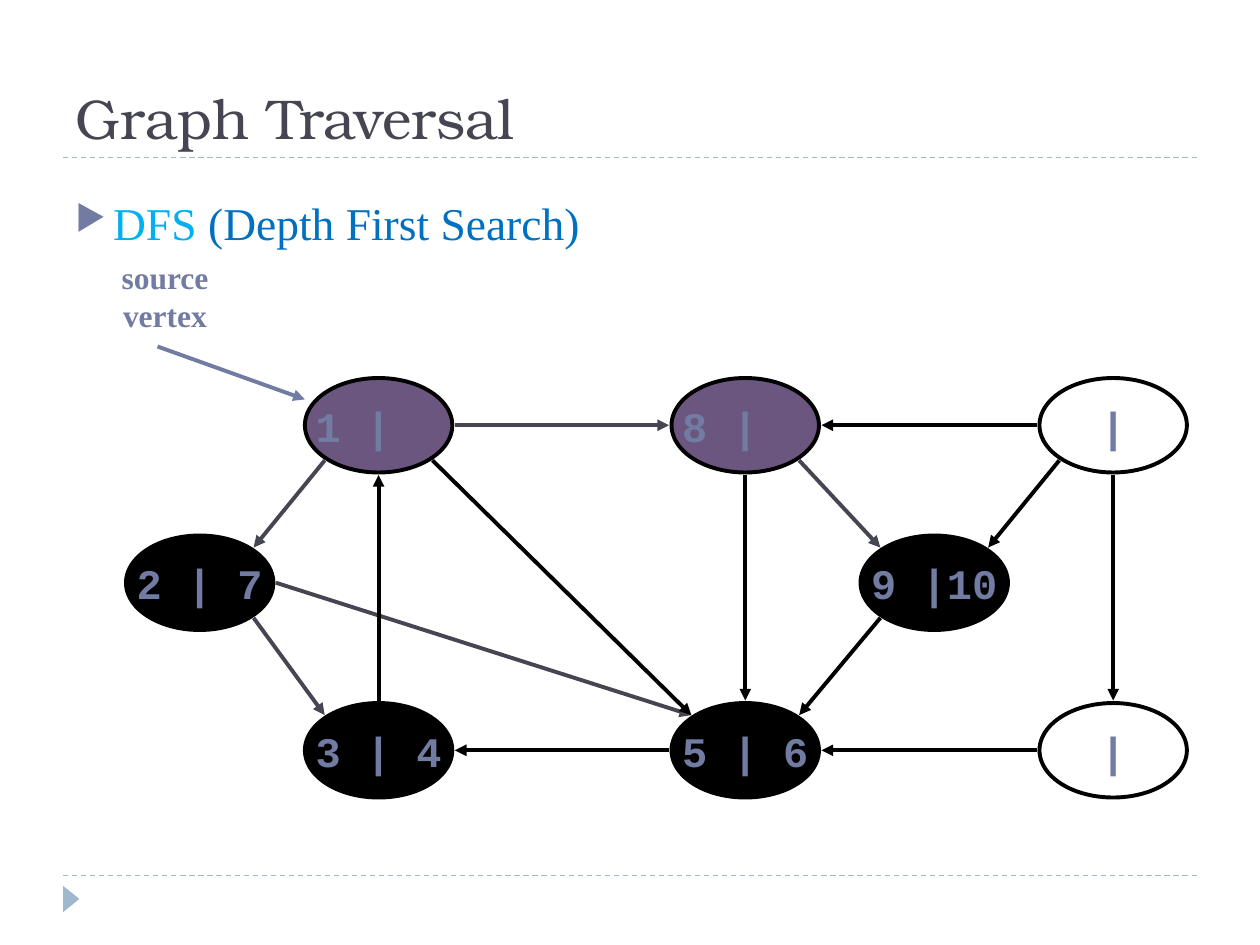
import math

import pptx
import pptx.dml.color
import pptx.enum.dml
import pptx.enum.shapes
import pptx.enum.text
import pptx.oxml
import pptx.oxml.ns
import pptx.util

Inches = pptx.util.Inches
Pt = pptx.util.Pt
ALIGN = pptx.enum.text.PP_ALIGN
ANCHOR = pptx.enum.text.MSO_ANCHOR
SHAPES = pptx.enum.shapes.MSO_SHAPE

BLACK, DARK, ACCENT, PALE, VISITING = "000000", "464653", "727CA3", "9FB8CD", "6B5680"
SERIF = "Times New Roman"
NODE_WIDTH, NODE_HEIGHT, NODE_GAP = 1.17, 0.75, 0.02

# name: (left, top, discovery time, finish time, fill)
NODES = {
    "source": (2.42, 3, 1, "", VISITING),
    "top": (5.33, 3, 8, "", VISITING),
    "top right": (8.25, 3, "", "", None),
    "bottom right": (8.25, 5.58, "", "", None),
    "bottom": (5.33, 5.58, 5, 6, BLACK),
    "bottom left": (2.42, 5.58, 3, 4, BLACK),
    "left": (1, 4.25, 2, 7, BLACK),
    "right": (6.83, 4.25, 9, 10, BLACK),
}

# Side of a node: angle in degrees, clockwise from the right
SIDES = {"E": 0, "SE": 45, "S": 90, "SW": 135, "W": 180, "NW": 225, "N": 270, "NE": 315}

EDGES = [
    ("source", "SW", "left", "NE", DARK),
    ("left", "SE", "bottom left", "NW", DARK),
    ("left", "E", "bottom", "NW", DARK),
    ("bottom", "W", "bottom left", "E", BLACK),
    ("bottom left", "N", "source", "S", BLACK),
    ("source", "SE", "bottom", "NW", BLACK),
    ("top", "S", "bottom", "N", BLACK),
    ("source", "E", "top", "W", DARK),
    ("top right", "W", "top", "E", BLACK),
    ("top", "SE", "right", "NW", DARK),
    ("top right", "SW", "right", "NE", BLACK),
    ("top right", "S", "bottom right", "N", BLACK),
    ("bottom right", "W", "bottom", "E", BLACK),
    ("right", "SW", "bottom", "NE", BLACK),
]


def color(value):
    return pptx.dml.color.RGBColor.from_string(value)


def write(paragraph, text, *, size, font=SERIF, fill=ACCENT, bold=False, align=None):
    """Append a formatted run to the paragraph."""
    run = paragraph.add_run()
    run.text = text
    run.font.size = Pt(size)
    run.font.name = font
    run.font.bold = bold
    run.font.color.rgb = color(fill)
    if align is not None:
        paragraph.alignment = align


def add_xml(parent, tag, **attributes):
    child = pptx.oxml.ns.qn(tag)
    element = parent.makeelement(child, attributes)
    parent.append(element)
    return element


def node_side(name, side):
    """Point just outside the outline of a node."""
    left, top = NODES[name][:2]
    angle = math.radians(SIDES[side])
    x = left + NODE_WIDTH / 2 + (NODE_WIDTH / 2 + NODE_GAP) * math.cos(angle)
    y = top + NODE_HEIGHT / 2 + (NODE_HEIGHT / 2 + NODE_GAP) * math.sin(angle)
    return x, y


class SlideBuilder:
    def __init__(self, presentation):
        self.slide = presentation.slides.add_slide(presentation.slide_layouts[5])
        self.line_width = 2.25

    def title(self, text):
        title = self.slide.shapes.title
        title.left, title.top = Inches(0.5), Inches(0.17)
        title.width, title.height = Inches(9), Inches(1.08)
        title.text_frame.vertical_anchor = ANCHOR.BOTTOM
        write(title.text_frame.paragraphs[0], text, size=32, font="TeX Gyre Bonum",
              fill=DARK, align=ALIGN.LEFT)

    def textbox(self, left, top, width, height, wrap=True):
        box = self.slide.shapes.add_textbox(
            Inches(left), Inches(top), Inches(width), Inches(height))
        box.text_frame.word_wrap = wrap
        return box.text_frame

    def bullet(self, left, top, width, height, runs):
        """Add a bulleted line made of (text, colour) runs."""
        paragraph = self.textbox(left, top, width, height).paragraphs[0]
        for text, fill in runs:
            write(paragraph, text, size=26, fill=fill)
        properties = paragraph._p.get_or_add_pPr()
        properties.set("marL", str(Inches(0.3)))
        properties.set("indent", str(Inches(-0.3)))
        bullet_color = add_xml(properties, "a:buClr")
        add_xml(bullet_color, "a:srgbClr", val=ACCENT)
        add_xml(properties, "a:buSzPct", val="76000")
        add_xml(properties, "a:buChar", char="▶")

    def label(self, left, top, width, height, lines):
        frame = self.textbox(left, top, width, height, wrap=False)
        for index, line in enumerate(lines):
            paragraph = frame.add_paragraph() if index else frame.paragraphs[0]
            write(paragraph, line, size=18, bold=True, align=ALIGN.CENTER)

    def shape(self, kind, left, top, width, height, fill):
        shape = self.slide.shapes.add_shape(
            kind, Inches(left), Inches(top), Inches(width), Inches(height))
        shape.shadow.inherit = False
        if fill:
            shape.fill.solid()
            shape.fill.fore_color.rgb = color(fill)
        else:
            shape.fill.background()
        return shape

    def node(self, left, top, start, finish, fill):
        node = self.shape(SHAPES.OVAL, left, top, NODE_WIDTH, NODE_HEIGHT, fill)
        node.line.color.rgb = color(BLACK)
        node.line.width = Pt(self.line_width)
        frame = node.text_frame
        frame.word_wrap = False
        frame.vertical_anchor = ANCHOR.MIDDLE
        write(frame.paragraphs[0], f"{start:>1} |{finish:>2}", size=24,
              font="Courier New", bold=True, align=ALIGN.CENTER)

    def line(self, start, end, fill, width):
        line = self.slide.shapes.add_connector(
            pptx.enum.shapes.MSO_CONNECTOR.STRAIGHT,
            *(Inches(value) for value in (*start, *end)))
        line.line.color.rgb = color(fill)
        line.line.width = Pt(width)
        add_xml(line._element.spPr, "a:effectLst")
        return line

    def arrow(self, start, end, fill):
        arrow = self.line(start, end, fill, self.line_width)
        add_xml(arrow.line._get_or_add_ln(), "a:tailEnd", type="triangle")

    def rule(self, top):
        rule = self.line((0.5, top), (9.5, top), PALE, 0.75)
        rule.line.dash_style = pptx.enum.dml.MSO_LINE.DASH

    def footer_marker(self):
        marker = self.shape(SHAPES.ISOSCELES_TRIANGLE, 0.46, 7.07, 0.21, 0.13, PALE)
        marker.rotation = 90
        marker.line.fill.background()


def main():
    presentation = pptx.Presentation()
    presentation.slide_width, presentation.slide_height = Inches(10), Inches(7.5)
    builder = SlideBuilder(presentation)
    for top in (6.95, 1.25):
        builder.rule(top)
    builder.footer_marker()
    builder.title("Graph Traversal")
    builder.bullet(0.5, 1.5, 9, 0.5,
                   [("DFS ", "00B0F0"), ("(Depth First Search)", "0070C0")])
    builder.label(0.83, 2, 0.96, 0.77, ["source", "vertex"])
    for node in NODES.values():
        builder.node(*node)
    for origin, origin_side, target, target_side, fill in EDGES:
        builder.arrow(node_side(origin, origin_side), node_side(target, target_side), fill)
    builder.arrow((1.25, 2.75), (2.42, 3.17), ACCENT)
    presentation.save("out.pptx")


if __name__ == "__main__":
    main()
